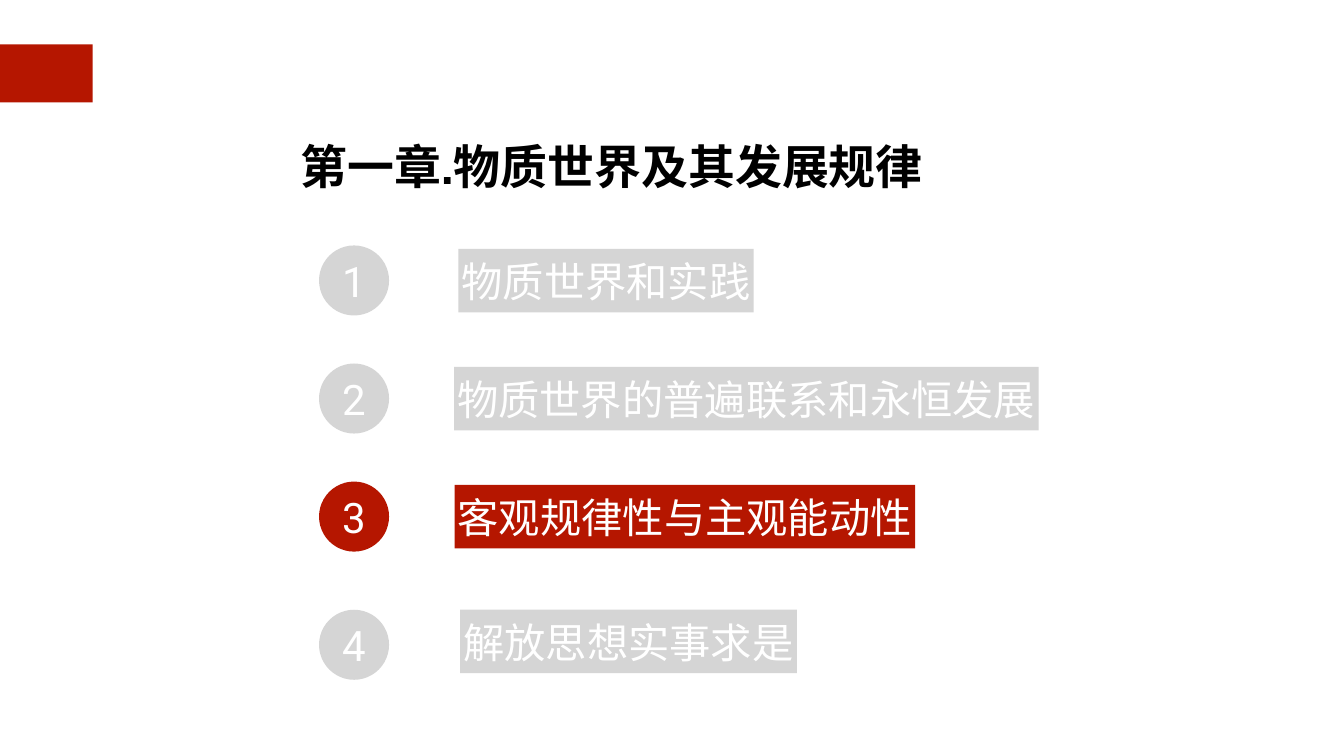
from pptx import Presentation
from pptx.dml.color import RGBColor
from pptx.enum.shapes import MSO_SHAPE
from pptx.enum.text import MSO_ANCHOR, PP_ALIGN
from pptx.util import Cm, Pt

RECT = MSO_SHAPE.RECTANGLE
OVAL = MSO_SHAPE.OVAL
MIDDLE = MSO_ANCHOR.MIDDLE
CENTER = PP_ALIGN.CENTER
LEFT = PP_ALIGN.LEFT

RED = "B51600"
GRAY = "D5D5D5"
WHITE = "FFFFFF"
BLACK = "000000"

DISC = 3.53
BAR = 3.2
TOP = 12.37
STEP = 5.95
LAST = 30.73
TOPICS = [
    ("物质世界和实践", TOP, 0.17, 23.11, 14.88, GRAY),
    ("物质世界的普遍联系和永恒发展", TOP + STEP, 0.17, 22.89, 29.46, GRAY),
    ("客观规律性与主观能动性", TOP + 2 * STEP, 0.17, 22.91, 23.22, RED),
    ("解放思想实事求是", LAST, 0, 23.19, 16.97, GRAY),
]


def color(value):
    return RGBColor.from_string(value)


def write(shape, text, size, face, ink, align, inset, wrap=False, bold=False):
    frame = shape.text_frame
    frame.text = text
    frame.word_wrap = wrap
    frame.vertical_anchor = MIDDLE
    frame.margin_left = frame.margin_right = Cm(inset)
    frame.margin_top = frame.margin_bottom = Cm(inset)
    para = frame.paragraphs[0]
    para.alignment = align
    font = para.runs[0].font
    font.name = face
    font.size = Pt(size)
    font.bold = bold
    font.color.rgb = color(ink)
    return para


def block(slide, kind, left, top, width, height, fill):
    shape = slide.shapes.add_shape(kind, Cm(left), Cm(top), Cm(width), Cm(height))
    shape.shadow.inherit = False
    shape.fill.solid()
    shape.fill.fore_color.rgb = color(fill)
    shape.line.fill.background()
    return shape


def title(slide, text):
    box = slide.shapes.add_textbox(Cm(14.99), Cm(5.61), Cm(31.98), Cm(4.04))
    para = write(box, text, 67, "Arial", BLACK, LEFT, 0.15, wrap=True, bold=True)
    para.line_spacing = 1.5


def topic(slide, number, text, top, drop, left, width, fill):
    disc = block(slide, OVAL, 16.08, top, DISC, DISC, fill)
    write(disc, str(number), 60, "Roboto", WHITE, CENTER, 0)
    bar = block(slide, RECT, left, top + drop, width, BAR, fill)
    write(bar, text, 59, "Roboto", WHITE, CENTER, 0.15)


def main():
    deck = Presentation()
    deck.slide_width = Cm(67.74)
    deck.slide_height = Cm(38.1)
    slide = deck.slides.add_slide(deck.slide_layouts[6])
    block(slide, RECT, -0.08, 2.24, 4.75, 2.92, RED)
    title(slide, "第一章.物质世界及其发展规律")
    for number, item in enumerate(TOPICS, 1):
        topic(slide, number, *item)
    deck.save("out.pptx")


if __name__ == "__main__":
    main()
